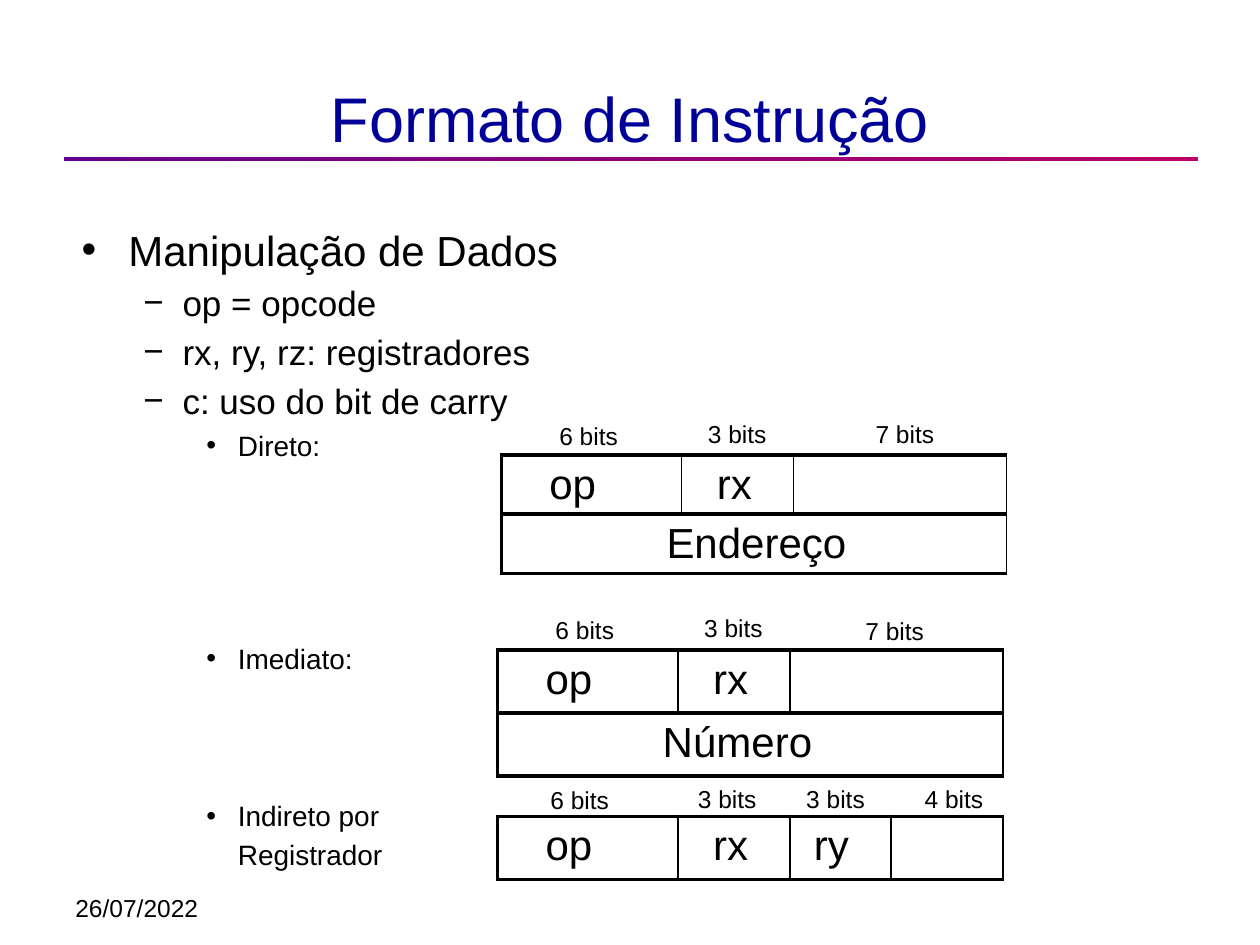
from lxml import etree
from pptx import Presentation
from pptx import util as u
from pptx.dml.color import RGBColor
from pptx.enum import shapes, text
from pptx.oxml import ns

rgb = RGBColor.from_string
inch = u.Inches


def write(frame, words, size=14, color="000000", align="l", left=0, hang=0,
          bullet=None, before=0, more=False):
    """Put one paragraph in a text frame; more=True adds it after the others."""
    par = frame.add_paragraph() if more else frame.paragraphs[0]
    par.alignment = {"l": text.PP_ALIGN.LEFT, "c": text.PP_ALIGN.CENTER}[align]
    par.space_before = u.Pt(before)
    run = par.add_run()
    run.text = words
    run.font.name = "Arial"
    run.font.size = u.Pt(size)
    run.font.color.rgb = rgb(color)
    props = par._p.get_or_add_pPr()
    props.set("marL", str(inch(left)))
    props.set("indent", str(-inch(hang)))
    if bullet:
        etree.SubElement(props, ns.qn("a:buFont"), typeface="Arial")
        etree.SubElement(props, ns.qn("a:buChar"), char=bullet)


def box(x, y, w, h, wrap=True, top=0.05):
    """Add an empty text box and return its frame."""
    frame = slide.shapes.add_textbox(inch(x), inch(y), inch(w), inch(h)).text_frame
    frame.word_wrap = wrap
    frame.margin_top = inch(top)
    return frame


deck = Presentation()
deck.slide_width, deck.slide_height = inch(10), inch(7.5)
slide = deck.slides.add_slide(deck.slide_layouts[6])

# Rule under the title
rule = slide.shapes.add_shape(shapes.MSO_SHAPE.RECTANGLE,
                              inch(0.51), inch(1.25), inch(9), inch(0.03))
rule.shadow.inherit = False
rule.line.fill.background()
rule.fill.gradient()
rule.fill.gradient_angle = 0
for stop, color in zip(rule.fill.gradient_stops, ("66008F", "BA0066")):
    stop.color.rgb = rgb(color)

# Title and date
title = box(0.51, 0.49, 8.98, 0.79)
title.vertical_anchor = text.MSO_ANCHOR.BOTTOM
write(title, "Formato de Instrução", size=36, color="000099", align="c")
write(box(0.5, 7.04, 2.33, 0.4), "26/07/2022")

# Outline: one box for each block of lines
levels = [
    dict(size=24, left=0.38, hang=0.37, bullet="•"),
    dict(size=20, left=0.81, hang=0.31, bullet="−", before=4),
    dict(size=16, left=1.25, hang=0.25, bullet="•", before=4),
    dict(size=16, left=1.25, before=3.2),
]
blocks = [
    (1.78, 8.98, 2.1, [(0, "Manipulação de Dados"), (1, "op = opcode"),
                       (1, "rx, ry, rz: registradores"),
                       (1, "c: uso do bit de carry"), (2, "Direto:")]),
    (5.09, 3.2, 0.3, [(2, "Imediato:")]),
    (6.34, 3.2, 0.6, [(2, "Indireto por"), (3, "Registrador")]),
]
for y, w, h, lines in blocks:
    frame = box(0.54, y, w, h, top=0)
    for i, (level, words) in enumerate(lines):
        fmt = dict(levels[level])
        if i == 0:
            fmt["before"] = 0
        write(frame, words, more=i > 0, **fmt)

# Instruction formats: x, y, row height, column widths, fields, full-width row
# and the bit labels above (text, x, y)
three, four = [1.43, 0.89, 1.69], [1.43, 0.89, 0.8, 0.89]
formats = [
    (3.98, 3.61, 0.47, three, ["op", "rx", ""], "Endereço",
     [("6 bits", 4.34, 3.29), ("3 bits", 5.52, 3.28), ("7 bits", 6.85, 3.28)]),
    (3.95, 5.16, 0.5, three, ["op", "rx", ""], "Número",
     [("6 bits", 4.31, 4.83), ("3 bits", 5.49, 4.82), ("7 bits", 6.77, 4.84)]),
    (3.95, 6.48, 0.5, four, ["op", "rx", "ry", ""], None,
     [("6 bits", 4.27, 6.18), ("3 bits", 5.44, 6.17), ("3 bits", 6.3, 6.17),
      ("4 bits", 7.24, 6.17)]),
]
pads = {"op": 0.38, "rx": 0.28, "ry": 0.19, "Endereço": 1.31, "Número": 1.31}
thick, thin = 2.21, 0.96
for x, y, high, widths, fields, wide, labels in formats:
    count = 2 if wide else 1
    table = slide.shapes.add_table(count, len(widths), inch(x), inch(y),
                                   inch(sum(widths)), inch(high * count)).table
    table.first_row = table.horz_banding = False
    for col, w in zip(table.columns, widths):
        col.width = inch(w)
    for row in table.rows:
        row.height = inch(high)
    if wide:
        table.cell(1, 0).merge(table.cell(1, len(widths) - 1))
    grid = [fields] + ([[wide] + [""] * (len(widths) - 1)] if wide else [])
    for r, row in enumerate(grid):
        for c, words in enumerate(row):
            cell = table.cell(r, c)
            cell.margin_top, cell.margin_bottom = inch(0.05), inch(0.02)
            if words:
                cell.margin_left = inch(pads[words])
                write(cell.text_frame, words, size=24)
            # Borders: heavy on the left edge and across, light elsewhere
            props = cell._tc.get_or_add_tcPr()
            edges = dict(L=thin if c else thick, R=thin, T=thick, B=thick)
            for side, wt in edges.items():
                line = etree.SubElement(props, ns.qn("a:ln" + side), w=str(u.Pt(wt)))
                fill = etree.SubElement(line, ns.qn("a:solidFill"))
                etree.SubElement(fill, ns.qn("a:srgbClr"), val="000000")
            cell.fill.background()
    for words, left, top in labels:
        write(box(left, top, 0.72, 0.33, wrap=False), words)

deck.save("out.pptx")
